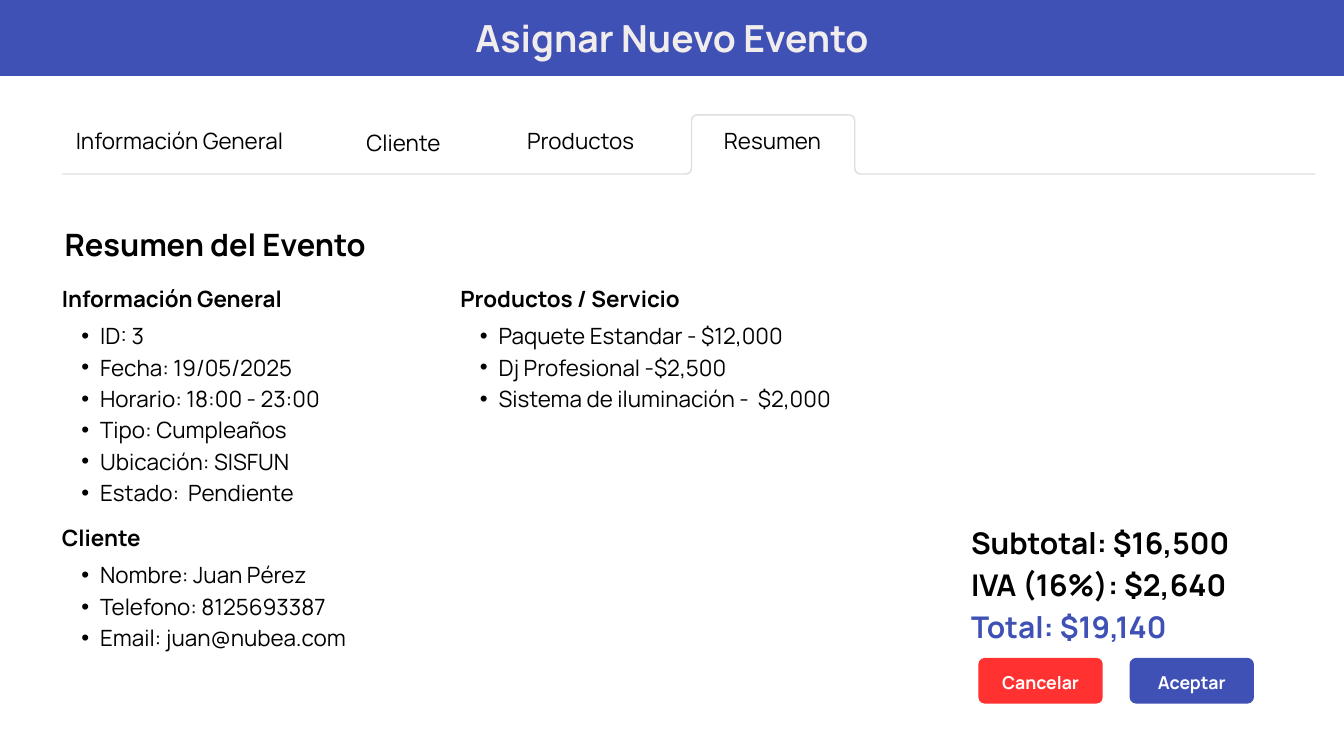
from dataclasses import dataclass
from typing import Optional

from lxml.etree import SubElement
from pptx import Presentation
from pptx.dml.color import RGBColor
from pptx.enum.shapes import MSO_SHAPE
from pptx.enum.text import MSO_ANCHOR, MSO_AUTO_SIZE, PP_ALIGN
from pptx.oxml.ns import qn
from pptx.util import Inches, Pt

COLORS = {"blue": "3F51B5", "red": "FF3131", "black": "000000",
          "white": "FFFFFF", "cream": "F1EDED"}
FONT = "Manrope"
COMPARISON_LAYOUT = 4


@dataclass
class Tab:
    label: str
    left: float
    top: float
    width: float


@dataclass
class Section:
    heading: str
    items: list[str]
    left: float
    top: float
    holders: Optional[tuple[int, int]] = None  # heading and list placeholders


@dataclass
class Button:
    label: str
    left: float
    color: str


TABS = [
    Tab("Información General", 0.92, 1.83, 3.5),
    Tab("Cliente", 5.17, 1.85, 1.67),
    Tab("Productos", 7.6, 1.83, 2.08),
    Tab("Resumen", 10.66, 1.83, 1.67),
]
SECTIONS = [
    Section("Información General",
            ["ID: 3", "Fecha: 19/05/2025", "Horario: 18:00 - 23:00", "Tipo: Cumpleaños",
             "Ubicación: SISFUN", "Estado:  Pendiente"], 0.92, 4.18, (1, 2)),
    Section("Productos / Servicio",
            ["Paquete Estandar - $12,000", "Dj Profesional -$2,500",
             "Sistema de iluminación -  $2,000"], 6.85, 4.18, (3, 4)),
    Section("Cliente",
            ["Nombre: Juan Pérez", "Telefono: 8125693387", "Email: juan@nubea.com"],
            0.92, 7.74),
]
TOTALS = ["Subtotal: $16,500", "IVA (16%): $2,640", "Total: $19,140"]
BUTTONS = [Button("Cancelar", 14.56, "red"), Button("Aceptar", 16.81, "blue")]


def rgb(name: str) -> RGBColor:
    return RGBColor.from_string(COLORS[name])


def place(sp, left: float, top: float, width: float, height: float):
    sp.left, sp.top, sp.width, sp.height = map(Inches, (left, top, width, height))
    return sp


def add_box(s, left: float, top: float, width: float, height: float):
    return s.shapes.add_textbox(*map(Inches, (left, top, width, height)))


def write(sp, lines: list[str], size: float, leading: float, color: str = "black",
          bold: bool = False, align=PP_ALIGN.LEFT, bullets: bool = False,
          anchor=MSO_ANCHOR.TOP) -> None:
    tf = sp.text_frame
    tf.word_wrap, tf.auto_size = True, MSO_AUTO_SIZE.NONE
    tf.vertical_anchor = anchor
    tf.margin_left = tf.margin_top = tf.margin_right = tf.margin_bottom = 0
    tf.text = "\n".join(lines)
    for p in tf.paragraphs:
        if bullets:
            pPr = p._p.get_or_add_pPr()
            pPr.set("marL", str(Inches(0.57)))
            pPr.set("indent", str(Inches(-0.28)))
            SubElement(pPr, qn("a:buFont"), typeface="Arial")
            SubElement(pPr, qn("a:buChar"), char="•")
        p.alignment = align
        p.line_spacing = Pt(leading)
        p.space_before = p.space_after = Pt(0)
        for r in p.runs:
            r.font.name, r.font.size, r.font.bold = FONT, Pt(size), bold
            r.font.color.rgb = rgb(color)


def rounded(corners: list[tuple], radius: float = 0.1, steps: int = 6) -> list[tuple]:
    """Replace each inner corner of a right-angled path with a curve."""
    points = [corners[0]]
    for before, corner, after in zip(corners, corners[1:], corners[2:]):
        start, end = (
            [c + radius * ((n > c) - (n < c)) for c, n in zip(corner, near)]
            for near in (before, after))
        for i in range(steps + 1):
            t = i / steps
            points.append(tuple((1 - t) ** 2 * a + 2 * t * (1 - t) * c + t ** 2 * b
                                for a, c, b in zip(start, corner, end)))
    return points + [corners[-1]]


def add_tab_outline(s) -> None:
    base, top, left, right = 2.59, 1.71, 10.29, 12.72
    path = rounded([(0.92, base), (left, base), (left, top),
                    (right, top), (right, base), (19.57, base)])
    points = [(Inches(x), Inches(y)) for x, y in path]
    builder = s.shapes.build_freeform(*points[0])
    builder.add_line_segments(points[1:], close=False)
    sp = builder.convert_to_shape()
    sp.shadow.inherit = False
    sp.fill.background()
    sp.line.color.rgb, sp.line.width = rgb("black"), Pt(1.5)
    color = sp.line._ln.find(".//" + qn("a:srgbClr"))
    SubElement(color, qn("a:alpha"), val="13000")


def add_section(s, section: Section) -> None:
    if section.holders:
        heading, body = (s.placeholders[i] for i in section.holders)
    else:
        heading, body = (add_box(s, 0, 0, 1, 1) for _ in range(2))
    place(heading, section.left, section.top, 4.21, 0.46)
    place(body, section.left, section.top + 0.55, 6.63, 0.46 * len(section.items))
    write(heading, [section.heading], 24, 33.6, bold=True)
    write(body, section.items, 24, 33.6, bullets=True)


def add_button(s, button: Button) -> None:
    sp = s.shapes.add_shape(MSO_SHAPE.ROUNDED_RECTANGLE, Inches(button.left),
                            Inches(9.79), Inches(1.85), Inches(0.68))
    sp.adjustments[0] = 0.14
    sp.shadow.inherit = False
    sp.fill.solid()
    sp.fill.fore_color.rgb = rgb(button.color)
    sp.line.fill.background()
    write(sp, [button.label], 19, 26.6, "white", True, PP_ALIGN.CENTER,
          anchor=MSO_ANCHOR.MIDDLE)


def main() -> None:
    prs = Presentation()
    prs.slide_width, prs.slide_height = Inches(20), Inches(11.25)
    s = prs.slides.add_slide(prs.slide_layouts[COMPARISON_LAYOUT])

    # Title banner
    title = place(s.shapes.title, 0, 0, 20, 1.13)
    title.fill.solid()
    title.fill.fore_color.rgb = rgb("blue")
    write(title, ["Asignar Nuevo Evento"], 40, 56, "cream", True, PP_ALIGN.CENTER)
    title.text_frame.margin_top = Inches(0.11)

    # Tab bar
    add_tab_outline(s)
    for tab in TABS:
        write(add_box(s, tab.left, tab.top, tab.width, 0.46), [tab.label],
              24, 33.6, align=PP_ALIGN.CENTER)

    # Event summary
    write(add_box(s, 0.96, 3.27, 4.89, 0.65), ["Resumen del Evento"], 33, 46.2, bold=True)
    for section in SECTIONS:
        add_section(s, section)

    # Totals and buttons
    totals = add_box(s, 14.45, 7.72, 4.2, 1.85)
    write(totals, TOTALS, 32, 44.9, bold=True)
    totals.text_frame.paragraphs[-1].runs[0].font.color.rgb = rgb("blue")
    for button in BUTTONS:
        add_button(s, button)

    prs.save("out.pptx")


if __name__ == "__main__":
    main()
